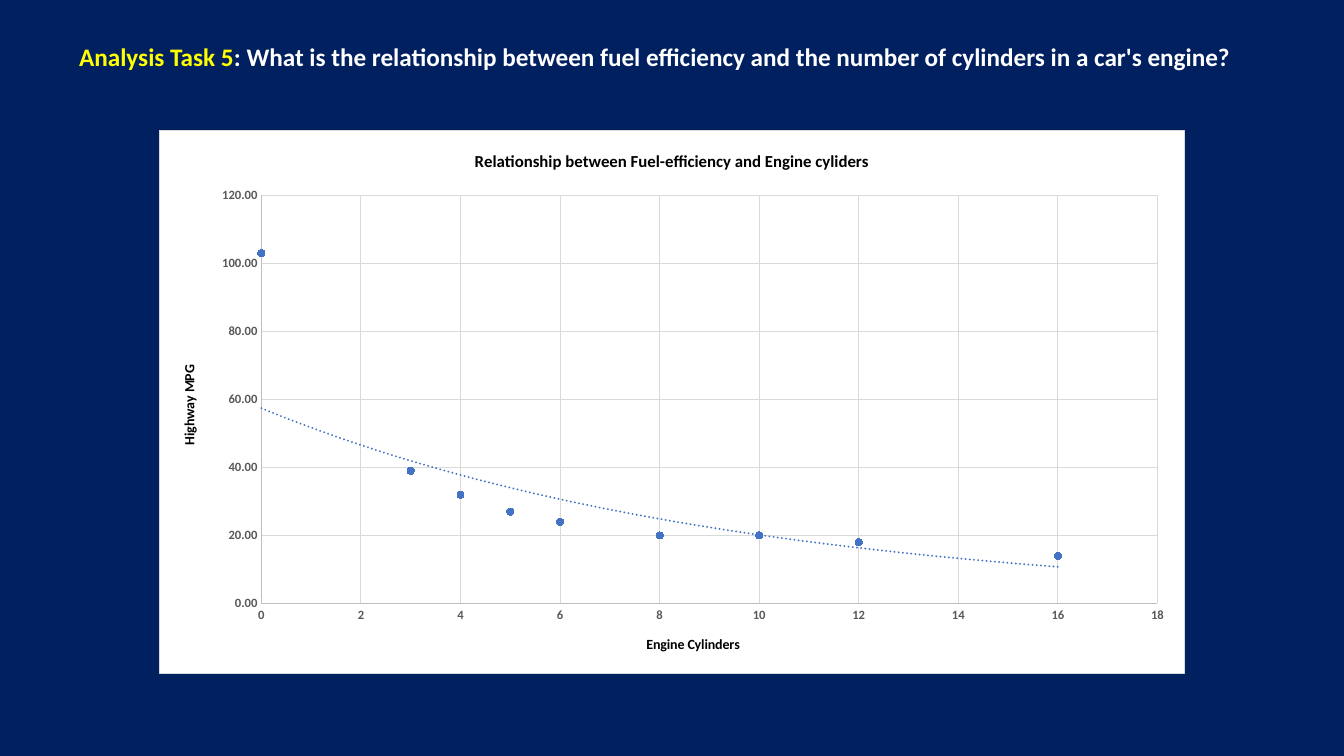
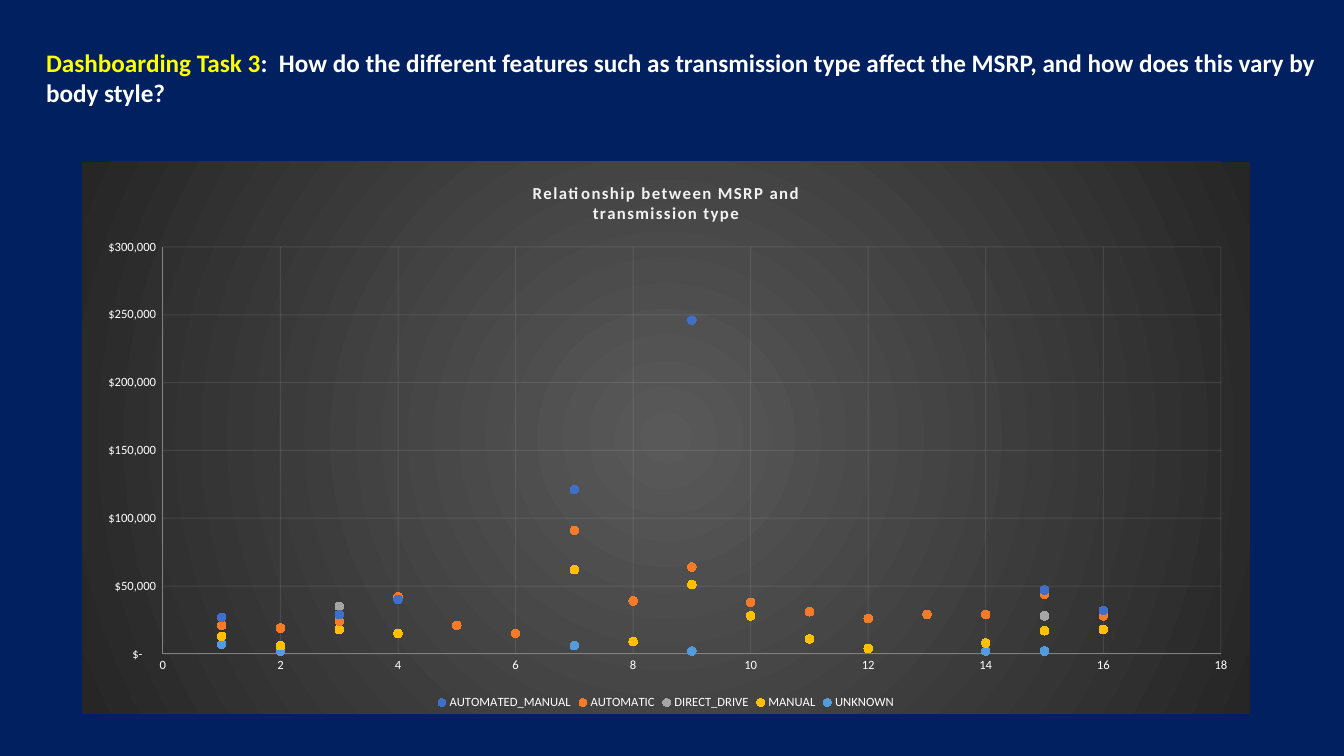
from lxml import etree
from pptx import Presentation
from pptx.chart.data import XyChartData
from pptx.dml.color import RGBColor
from pptx.enum.chart import XL_CHART_TYPE, XL_LEGEND_POSITION, XL_MARKER_STYLE, XL_TICK_MARK
from pptx.enum.text import MSO_ANCHOR, MSO_AUTO_SIZE
from pptx.oxml import parse_xml
from pptx.oxml.ns import nsdecls, qn
from pptx.util import Emu, Pt

PX = 914400 / 100.8
WIDTH, HEIGHT = 1344, 756

THEME = {
    "font": "Calibri", "background": "002060", "label": "FFFF00", "question": "FFFFFF",
    "title_size": 18, "chart_size": 10, "chart_title_size": 12, "tick_size": 9, "hairline": 0.75,
}
LIGHT = {
    "fill": ["FFFFFF"], "border": "D9D9D9", "title": "000000", "spacing": 0,
    "ticks": "595959", "bold_ticks": True, "axis": "BFBFBF",
    "grid": "D9D9D9", "grid_alpha": 100, "marker_size": 5,
}
DARK = {
    "fill": ["595959", "262626"], "border": None, "title": "F2F2F2", "spacing": 100,
    "ticks": "FFFFFF", "bold_ticks": False, "axis": "808080",
    "grid": "F2F2F2", "grid_alpha": 10, "marker_size": 6,
}

# Content: boxes are left, top, width, height in px; axes are title, maximum, step, format
BODY_STYLES = range(1, 17)
SLIDES = [
    {
        "label": "Analysis Task 5",
        "question": ": What is the relationship between fuel efficiency and the number of "
                    "cylinders in a car's engine?",
        "title_box": (69, 36, 1206, 40),
        "look": LIGHT,
        "chart_title": "Relationship between Fuel-efficiency and Engine cyliders",
        "chart_box": (159, 130, 1026, 544),
        "plot_box": (261, 195, 897, 409),
        "x_axis": ("Engine Cylinders", 18, 2, "General"),
        "y_axis": ("Highway MPG", 120, 20, "0.00"),
        "x": [0, 3, 4, 5, 6, 8, 10, 12, 16],
        "series": [("Series 1", "4472C4", [103, 39, 32, 27, 24, 20, 20, 18, 14])],
        "trend": True,
        "legend": False,
    },
    {
        "label": "Dashboarding Task 3",
        "question": ":  How do the different features such as transmission type affect the "
                    "MSRP, and how does this vary by body style?",
        "title_box": (36, 42, 1307, 72),
        "look": DARK,
        "chart_title": "Relationship between MSRP and\ntransmission type",
        "chart_box": (82, 162, 1168, 552),
        "plot_box": (163, 247, 1058, 407),
        "x_axis": (None, 18, 2, "General"),
        "y_axis": (None, 300000, 50000, '"$"#,##0_);-"$"#,##0_);"$-"??_)'),
        "x": BODY_STYLES,
        "series": [
            ("AUTOMATED_MANUAL", "3E70CA",
             [27000, None, 29000, 40000, None, None, 121000, None, 246000, None, None, None,
              None, None, 47000, 32000]),
            ("AUTOMATIC", "F67B28",
             [21000, 19000, 24000, 42000, 21000, 15000, 91000, 39000, 64000, 38000, 31000,
              26000, 29000, 29000, 44000, 28000]),
            ("DIRECT_DRIVE", "A5A5A5",
             [None, None, 35000, None, None, None, None, None, None, None, None, None, None,
              None, 28000, None]),
            ("MANUAL", "FFC000",
             [13000, 6000, 18000, 15000, None, None, 62000, 9000, 51000, 28000, 11000, 4000,
              None, 8000, 17000, 18000]),
            ("UNKNOWN", "559BDB",
             [7000, 2000, None, None, None, None, 6000, None, 2000, None, None, None, None,
              2000, 2000, None]),
        ],
        "trend": False,
        "legend": True,
    },
]


def rgb(value):
    return RGBColor.from_string(value)


def emu(box):
    return [Emu(round(v * PX)) for v in box]


def set_font(font, size, color, bold=False):
    font.name, font.size, font.bold = THEME["font"], Pt(size), bold
    font.color.rgb = rgb(color)


def set_line(line, color):
    line.width = Pt(THEME["hairline"])
    line.color.rgb = rgb(color)


# Shared background and title style
def style_master(master):
    fill = master.background.fill
    fill.solid()
    fill.fore_color.rgb = rgb(THEME["background"])
    level = master.element.find(f".//{qn('p:titleStyle')}/{qn('a:lvl1pPr')}")
    level.set("algn", "l")
    props = level.find(qn("a:defRPr"))
    props.set("sz", str(THEME["title_size"] * 100))
    props.set("b", "1")
    props.find(qn("a:latin")).set("typeface", THEME["font"])


def add_title(slide, content):
    sp = slide.shapes.title
    sp.left, sp.top, sp.width, sp.height = emu(content["title_box"])
    tf = sp.text_frame
    tf.word_wrap = True
    tf.auto_size = MSO_AUTO_SIZE.SHAPE_TO_FIT_TEXT
    tf.vertical_anchor = MSO_ANCHOR.TOP
    for part in ("label", "question"):
        r = tf.paragraphs[0].add_run()
        r.text = content[part]
        r.font.color.rgb = rgb(THEME[part])


# Chart parts
def fill_chart_area(chart, look):
    colors = look["fill"]
    if len(colors) == 1:
        fill = f'<a:solidFill><a:srgbClr val="{colors[0]}"/></a:solidFill>'
    else:
        stops = "".join(f'<a:gs pos="{i * 100000}"><a:srgbClr val="{c}"/></a:gs>'
                        for i, c in enumerate(colors))
        fill = (f'<a:gradFill><a:gsLst>{stops}</a:gsLst><a:path path="circle">'
                '<a:fillToRect l="50000" t="50000" r="50000" b="50000"/></a:path></a:gradFill>')
    border = "<a:noFill/>"
    if look["border"]:
        border = f'<a:solidFill><a:srgbClr val="{look["border"]}"/></a:solidFill>'
    chart.element.find(qn("c:chart")).addnext(parse_xml(
        f'<c:spPr {nsdecls("c", "a")}>{fill}'
        f'<a:ln w="{Pt(THEME["hairline"])}">{border}</a:ln></c:spPr>'))


def place_plot(chart, chart_box, plot_box):
    left, top, width, height = chart_box
    x, y, w, h = plot_box
    shares = {"x": (x - left) / width, "y": (y - top) / height, "w": w / width, "h": h / height}
    area = chart.element.find(f".//{qn('c:plotArea')}")
    for old in area.findall(qn("c:layout")):
        area.remove(old)
    layout = etree.Element(qn("c:layout"))
    manual = etree.SubElement(layout, qn("c:manualLayout"))
    settings = [("layoutTarget", "inner"), ("xMode", "edge"), ("yMode", "edge")]
    for tag, value in settings + [(k, f"{v:.4f}") for k, v in shares.items()]:
        etree.SubElement(manual, qn(f"c:{tag}")).set("val", value)
    area.insert(0, layout)


def style_axis(axis, settings, look, rotated):
    title, maximum, step, number_format = settings
    axis.minimum_scale, axis.maximum_scale, axis.major_unit = 0, maximum, step
    axis.major_tick_mark = axis.minor_tick_mark = XL_TICK_MARK.NONE
    labels = axis.tick_labels
    labels.number_format, labels.number_format_is_linked = number_format, False
    set_font(labels.font, THEME["tick_size"], look["ticks"], look["bold_ticks"])
    set_line(axis.format.line, look["axis"])
    axis.has_major_gridlines = True
    set_line(axis.major_gridlines.format.line, look["grid"])
    if look["grid_alpha"] < 100:
        grid = axis._element.find(qn("c:majorGridlines"))
        color = grid.find(f".//{qn('a:srgbClr')}")
        etree.SubElement(color, qn("a:alpha")).set("val", str(look["grid_alpha"] * 1000))
    axis.has_title = bool(title)
    if title:
        tf = axis.axis_title.text_frame
        tf.text = title
        set_font(tf.paragraphs[0].font, THEME["chart_size"], look["title"], True)
        if rotated:
            tf._txBody.find(qn("a:bodyPr")).set("rot", "-5400000")


def style_chart_title(chart, text, look):
    tf = chart.chart_title.text_frame
    tf.text = text
    for p in tf.paragraphs:
        set_font(p.font, THEME["chart_title_size"], look["title"], True)
        if look["spacing"]:
            p._p.find(f".//{qn('a:defRPr')}").set("spc", str(look["spacing"]))


def add_trend(series, color):
    series._element.find(qn("c:xVal")).addprevious(parse_xml(
        f'<c:trendline {nsdecls("c", "a")}><c:spPr><a:ln w="{Pt(1.5)}" cap="rnd"><a:solidFill>'
        f'<a:srgbClr val="{color}"/></a:solidFill><a:prstDash val="sysDot"/></a:ln></c:spPr>'
        '<c:trendlineType val="exp"/><c:dispRSqr val="0"/><c:dispEq val="0"/></c:trendline>'))


def clear_gaps(series, values):
    """Leave missing values blank while every series keeps the same x positions."""
    for pt in list(series._element.find(qn("c:yVal")).iter(qn("c:pt"))):
        if values[int(pt.get("idx"))] is None:
            pt.getparent().remove(pt)


def add_scatter(slide, content):
    look = content["look"]
    data = XyChartData()
    for name, _, values in content["series"]:
        points = data.add_series(name)
        for x, y in zip(content["x"], values):
            points.add_data_point(x, y)
    chart = slide.shapes.add_chart(
        XL_CHART_TYPE.XY_SCATTER, *emu(content["chart_box"]), data).chart
    set_font(chart.font, THEME["chart_size"], "000000")
    fill_chart_area(chart, look)
    place_plot(chart, content["chart_box"], content["plot_box"])
    style_chart_title(chart, content["chart_title"], look)
    style_axis(chart.category_axis, content["x_axis"], look, False)
    style_axis(chart.value_axis, content["y_axis"], look, True)

    plot = chart.plots[0]
    plot.vary_by_categories = False
    for series, (_, color, values) in zip(plot.series, content["series"]):
        clear_gaps(series, values)
        series.format.line.fill.background()
        marker = series.marker
        marker.style, marker.size = XL_MARKER_STYLE.CIRCLE, look["marker_size"]
        marker.format.fill.solid()
        marker.format.fill.fore_color.rgb = rgb(color)
        set_line(marker.format.line, color)
        if content["trend"]:
            add_trend(series, color)

    chart.has_legend = content["legend"]
    if chart.has_legend:
        chart.legend.position = XL_LEGEND_POSITION.BOTTOM
        chart.legend.include_in_layout = False
        set_font(chart.legend.font, THEME["tick_size"], look["ticks"])


def main():
    prs = Presentation()
    prs.slide_width, prs.slide_height = emu((WIDTH, HEIGHT))
    style_master(prs.slide_master)
    title_only = prs.slide_layouts[5]
    for content in SLIDES:
        slide = prs.slides.add_slide(title_only)
        add_title(slide, content)
        add_scatter(slide, content)
    prs.save("out.pptx")


if __name__ == "__main__":
    main()
